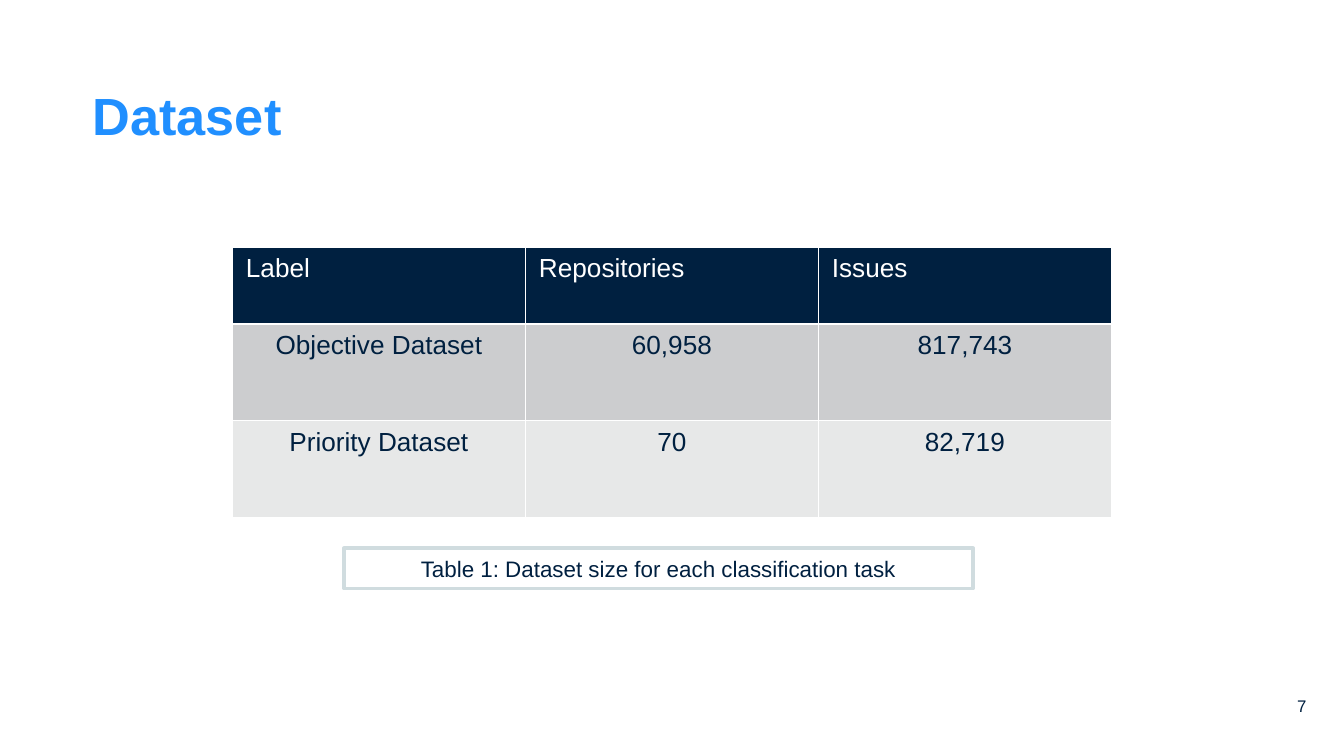
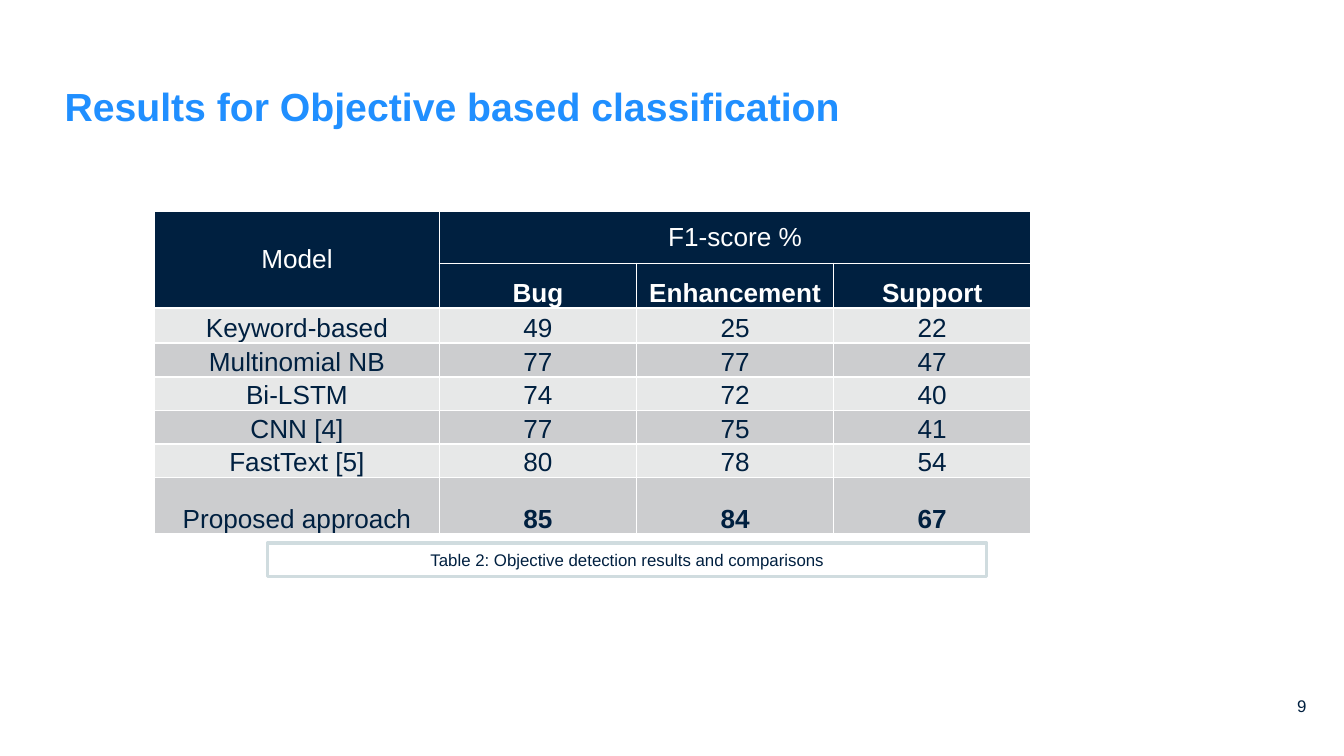
import pptx
import pptx.util
import pptx.dml.color
import pptx.enum.shapes
import pptx.enum.text
import pptx.oxml.ns
from lxml import etree

Inches = pptx.util.Inches
Pt = pptx.util.Pt
ALIGN = pptx.enum.text.PP_ALIGN
ANCHOR = pptx.enum.text.MSO_ANCHOR
AUTO_SIZE = pptx.enum.text.MSO_AUTO_SIZE

COLORS = {
    "navy": "002040",
    "blue": "208FFF",
    "white": "FFFFFF",
    "dark_band": "CCCDCF",
    "light_band": "E7E8E8",
    "caption_line": "D0DCDF",
}
FONT = "Arial"
TIGHT = (0.01, 0.01, 0.01, 0)
PADDED = (0.1, 0.05, 0.1, 0.05)


def rgb(name):
    return pptx.dml.color.RGBColor.from_string(COLORS[name])


def write_text(tf, text, size=14, color="navy", bold=False, align=ALIGN.LEFT):
    p = tf.paragraphs[0]
    p.alignment = align
    r = p.add_run()
    r.text = text
    r.font.name = FONT
    r.font.size = Pt(size)
    r.font.bold = bold
    r.font.color.rgb = rgb(color)


def set_margins(target, margins):
    left, top, right, bottom = (Inches(m) for m in margins)
    target.margin_left, target.margin_top = left, top
    target.margin_right, target.margin_bottom = right, bottom


def set_borders(cell):
    tcPr = cell._tc.get_or_add_tcPr()
    for side in "LRTB":
        ln = etree.SubElement(tcPr, pptx.oxml.ns.qn(f"a:ln{side}"), w=str(Pt(1)))
        fill = etree.SubElement(ln, pptx.oxml.ns.qn("a:solidFill"))
        etree.SubElement(fill, pptx.oxml.ns.qn("a:srgbClr"), val=COLORS["white"])


class Deck:
    def __init__(self):
        self.prs = pptx.Presentation()
        self.prs.slide_width = Inches(10)
        self.prs.slide_height = Inches(10) * 9 // 16
        self.s = None

    def slide(self, number):
        self.s = self.prs.slides.add_slide(self.prs.slide_layouts[6])
        self.text(number, 9.39, 5.18, 0.33, 0.21, size=9, align=ALIGN.RIGHT)

    def text(self, text, left, top, width, height, **style):
        sp = self.s.shapes.add_textbox(Inches(left), Inches(top), Inches(width), Inches(height))
        tf = sp.text_frame
        tf.word_wrap = True
        set_margins(tf, (0, 0, 0, 0))
        write_text(tf, text, **style)

    def title(self, text, left, top, size):
        self.text(text, left, top, 8.62, 0.49, size=size, color="blue", bold=True)

    def caption(self, text, left, top, width, height, size):
        sp = self.s.shapes.add_shape(pptx.enum.shapes.MSO_SHAPE.RECTANGLE, Inches(left),
                                     Inches(top), Inches(width), Inches(height))
        sp.shadow.inherit = False
        sp.fill.solid()
        sp.fill.fore_color.rgb = rgb("white")
        sp.line.color.rgb = rgb("caption_line")
        sp.line.width = Pt(2)
        tf = sp.text_frame
        tf.word_wrap = True
        tf.auto_size = AUTO_SIZE.SHAPE_TO_FIT_TEXT
        write_text(tf, text, size=size, align=ALIGN.CENTER)

    def table(self, left, top, widths, heights):
        frame = self.s.shapes.add_table(len(heights), len(widths), Inches(left), Inches(top),
                                        Inches(sum(widths)), Inches(sum(heights)))
        table = frame.table
        table.first_row = False
        table.horz_banding = False
        for column, width in zip(table.columns, widths):
            column.width = Inches(width)
        for row, height in zip(table.rows, heights):
            row.height = Inches(height)
        return table

    def cell(self, cell, text, fill, margins=PADDED, anchor=ANCHOR.TOP, **style):
        set_borders(cell)
        cell.fill.solid()
        cell.fill.fore_color.rgb = rgb(fill)
        set_margins(cell, margins)
        cell.vertical_anchor = anchor
        write_text(cell.text_frame, text, **style)


def dataset_slide(deck):
    deck.slide("7")
    deck.title("Dataset", 0.69, 0.62, 28)
    rows = [
        ("Label", "Repositories", "Issues"),
        ("Objective Dataset", "60,958", "817,743"),
        ("Priority Dataset", "70", "82,719"),
    ]
    table = deck.table(1.73, 1.84, [2.18] * 3, [0.57, 0.72, 0.72])
    for i, row in enumerate(rows):
        for j, text in enumerate(row):
            if i == 0:
                deck.cell(table.cell(i, j), text, "navy", color="white")
            else:
                band = "dark_band" if i % 2 else "light_band"
                deck.cell(table.cell(i, j), text, band, align=ALIGN.CENTER)
    deck.caption("Table 1: Dataset size for each classification task", 2.56, 4.08, 4.68, 0.3, 12)


def results_slide(deck):
    deck.slide("9")
    deck.title("Results for Objective based classification", 0.48, 0.61, 21)
    rows = [
        ("Model", "F1-score %", "", ""),
        ("", "Bug", "Enhancement", "Support"),
        ("Keyword-based", "49", "25", "22"),
        ("Multinomial NB", "77", "77", "47"),
        ("Bi-LSTM", "74", "72", "40"),
        ("CNN [4]", "77", "75", "41"),
        ("FastText [5]", "80", "78", "54"),
        ("Proposed approach", "85", "84", "67"),
    ]
    heights = [0.39, 0.26, 0.26] + [0.25] * 4 + [0.42]
    score_width = (6.52 - 2.12) / 3
    table = deck.table(1.15, 1.57, [2.12] + [score_width] * 3, heights)
    last = len(rows) - 1
    for i, row in enumerate(rows):
        for j, text in enumerate(row):
            header = i < 2
            spanning = i == 0 or (i == 1 and j == 0)
            band = "dark_band" if i % 2 else "light_band"
            deck.cell(table.cell(i, j), text, "navy" if header else band,
                      margins=PADDED if spanning else TIGHT,
                      anchor=ANCHOR.MIDDLE if spanning else ANCHOR.BOTTOM,
                      color="white" if header else "navy",
                      bold=j > 0 and i in (1, last),
                      align=ALIGN.CENTER)
    table.cell(0, 0).merge(table.cell(1, 0))
    table.cell(0, 1).merge(table.cell(0, 3))
    deck.caption("Table 2: Objective detection results and comparisons", 1.99, 4.04, 5.35, 0.25, 9)


def main():
    deck = Deck()
    dataset_slide(deck)
    results_slide(deck)
    deck.prs.save("out.pptx")


if __name__ == "__main__":
    main()
